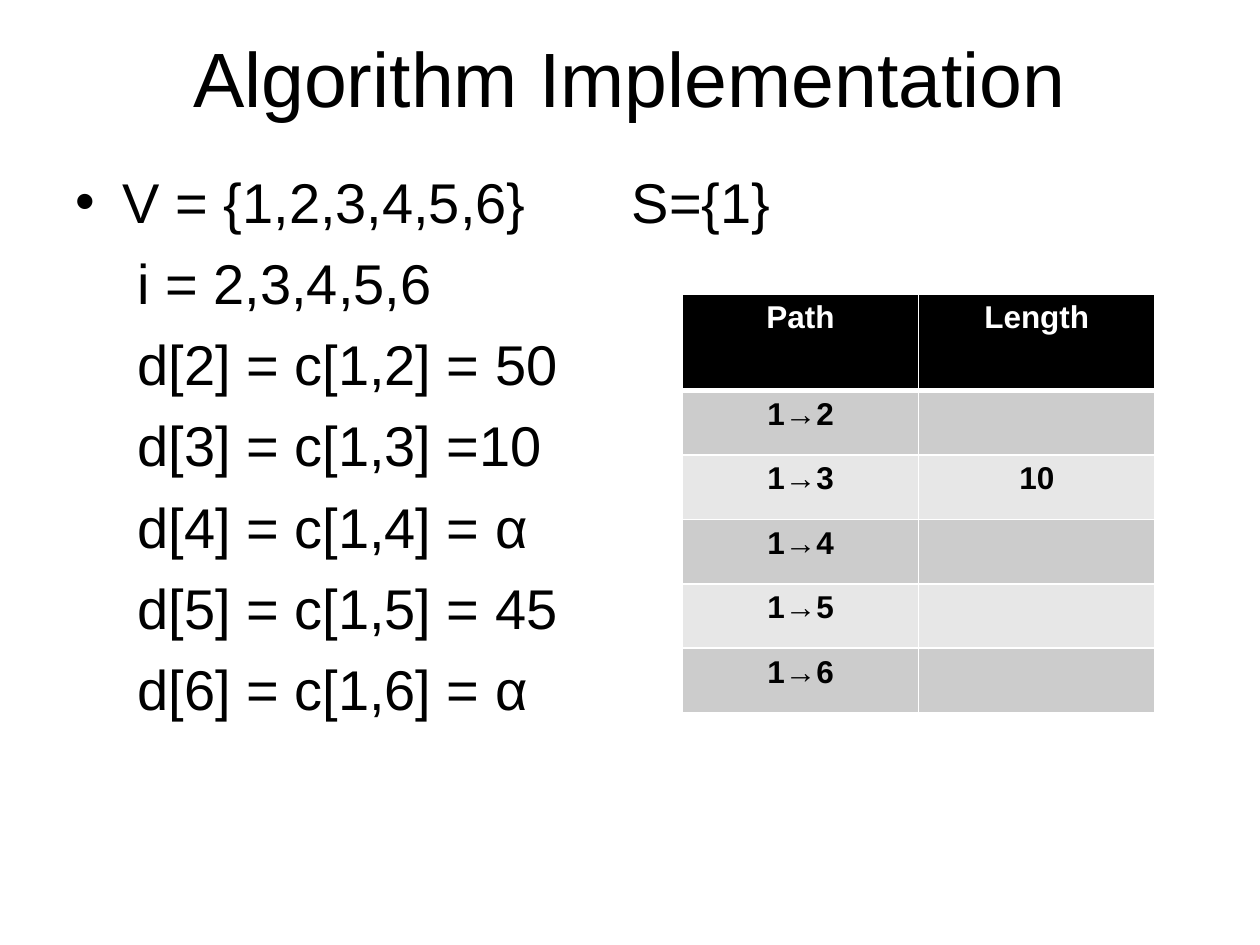
from dataclasses import dataclass

from pptx import Presentation
from pptx.dml.color import RGBColor
from pptx.enum import text
from pptx.oxml import ns, xmlchemy
from pptx.util import Pt


@dataclass(frozen=True)
class Theme:
    """Colours and type sizes of the slide."""
    font: str = "Arial"
    ink: str = "000000"
    paper: str = "FFFFFF"
    bands: tuple = ("CCCCCC", "E7E7E7")
    title_size: int = 44
    body_size: int = 32
    table_size: int = 18


THEME = Theme()
STEPS = (
    "V = {1,2,3,4,5,6}\tS={1}",
    "i = 2,3,4,5,6",
    "d[2] = c[1,2] = 50",
    "d[3] = c[1,3] =10",
    "d[4] = c[1,4] = α",
    "d[5] = c[1,5] = 45",
    "d[6] = c[1,6] = α",
)
PATHS = (
    ("Path", "Length"),
    ("1→2", ""),
    ("1→3", "10"),
    ("1→4", ""),
    ("1→5", ""),
    ("1→6", ""),
)


def add_child(parent, tag, **attributes):
    """Append an XML element with attributes and return it."""
    child = xmlchemy.OxmlElement(tag)
    for name, value in attributes.items():
        child.set(name, str(value))
    parent.append(child)
    return child


def format_runs(paragraph, size, color, bold=False):
    """Set the font of every run in a paragraph."""
    for run in paragraph.runs:
        run.font.name = THEME.font
        run.font.size = Pt(size)
        run.font.bold = bold
        run.font.color.rgb = RGBColor.from_string(color)


def add_text_box(slide, left, top, width, height, content):
    """Add a wrapping text box and return its text frame."""
    text_frame = slide.shapes.add_textbox(Pt(left), Pt(top), Pt(width), Pt(height)).text_frame
    text_frame.word_wrap = True
    text_frame.text = content
    return text_frame


def add_title(slide, content):
    """Add the centred slide title."""
    text_frame = add_text_box(slide, 36, 21.6, 648, 45, content)
    text_frame.vertical_anchor = text.MSO_ANCHOR.MIDDLE
    paragraph = text_frame.paragraphs[0]
    paragraph.alignment = text.PP_ALIGN.CENTER
    format_runs(paragraph, THEME.title_size, THEME.ink)


def add_steps(slide, steps):
    """Add the bulleted first line and the indented lines below it."""
    text_frame = add_text_box(slide, 36, 92, 648, 390, "\n".join(steps))
    for index, paragraph in enumerate(text_frame.paragraphs):
        properties = paragraph._p.get_or_add_pPr()
        if index == 0:
            properties.set("marL", str(Pt(27)))
            properties.set("indent", str(Pt(-27)))
            add_child(properties, "a:buFont", typeface=THEME.font)
            add_child(properties, "a:buChar", char="•")
            tabs = add_child(properties, "a:tabLst")
            add_child(tabs, "a:tab", pos=Pt(318), algn="l")
        else:
            properties.set("marL", str(Pt(35.5)))
            properties.set("indent", "0")
            add_child(properties, "a:buNone")
            paragraph.space_before = Pt(8)
        format_runs(paragraph, THEME.body_size, THEME.ink)


def add_border(cell, side, width):
    """Draw one side of a cell border."""
    line = add_child(cell._tc.get_or_add_tcPr(), f"a:ln{side}", w=Pt(width))
    fill = add_child(line, "a:solidFill")
    add_child(fill, "a:srgbClr", val=THEME.paper)


def format_cell(cell, content, row):
    """Fill, border and label a cell according to its row."""
    header = row == 0
    widths = {"L": 1, "R": 1, "T": 3 if row == 1 else 1, "B": 3 if header else 1}
    for side, width in widths.items():
        add_border(cell, side, width)
    cell.fill.solid()
    color = THEME.ink if header else THEME.bands[(row - 1) % 2]
    cell.fill.fore_color.rgb = RGBColor.from_string(color)
    cell.text_frame.text = content
    paragraph = cell.text_frame.paragraphs[0]
    paragraph.alignment = text.PP_ALIGN.CENTER
    format_runs(paragraph, THEME.table_size, THEME.paper if header else THEME.ink, True)


def add_path_table(slide, rows):
    """Add the table of paths and their lengths."""
    heights = [55.2] + [36.8] * (len(rows) - 1)
    frame = slide.shapes.add_table(
        len(rows), len(rows[0]), Pt(390), Pt(168), Pt(270), Pt(sum(heights)))
    table = frame.table
    for column in table.columns:
        column.width = Pt(135)
    for row, (height, contents) in enumerate(zip(heights, rows)):
        table.rows[row].height = Pt(height)
        for column, content in enumerate(contents):
            format_cell(table.cell(row, column), content, row)


def main():
    """Build and save the slide."""
    presentation = Presentation()
    presentation.slide_width, presentation.slide_height = Pt(720), Pt(540)
    slide = presentation.slides.add_slide(presentation.slide_layouts[6])
    add_title(slide, "Algorithm Implementation")
    add_steps(slide, STEPS)
    add_path_table(slide, PATHS)
    presentation.save("out.pptx")


if __name__ == "__main__":
    main()
